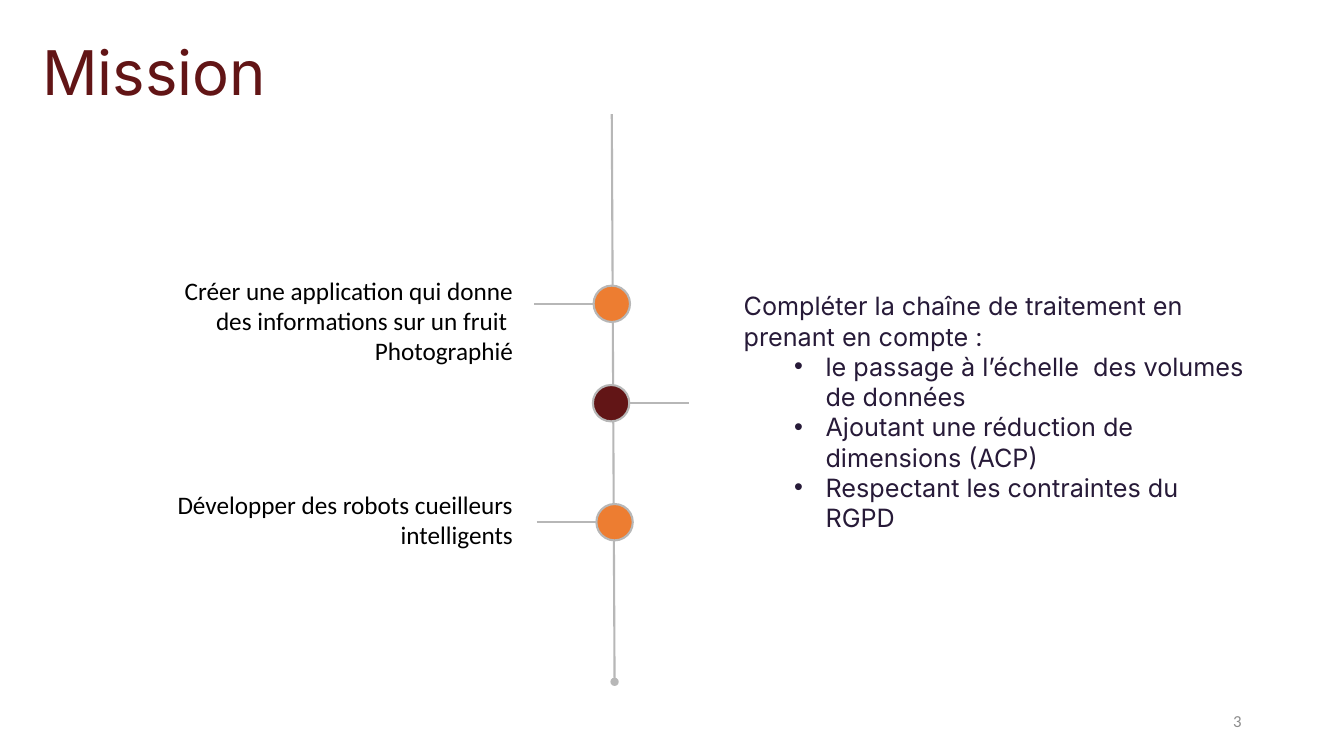
from dataclasses import dataclass

from lxml import etree
from pptx import Presentation
from pptx.dml.color import RGBColor
from pptx.enum.shapes import MSO_CONNECTOR, MSO_SHAPE
from pptx.enum.text import MSO_ANCHOR, MSO_AUTO_SIZE, PP_ALIGN
from pptx.oxml.ns import qn
from pptx.util import Pt

STRAIGHT = MSO_CONNECTOR.STRAIGHT
OVAL = MSO_SHAPE.OVAL
TOP, MIDDLE = MSO_ANCHOR.TOP, MSO_ANCHOR.MIDDLE
LEFT, RIGHT = PP_ALIGN.LEFT, PP_ALIGN.RIGHT
NO_AUTOFIT = MSO_AUTO_SIZE.NONE

BURGUNDY = RGBColor(0x62, 0x15, 0x16)
ORANGE = RGBColor(0xED, 0x7D, 0x31)
GREY = RGBColor(0xB7, 0xB7, 0xB7)
PLUM = RGBColor(0x27, 0x1A, 0x38)
BLACK = RGBColor(0, 0, 0)
PAGE_GREY = RGBColor(0x8C, 0x8C, 0x8C)

DOT_SIZE = 26
ARM_LENGTH = 42.5
LINE_WIDTH = 1.5


@dataclass(frozen=True)
class TextStyle:
    font: str
    size: float
    color: RGBColor
    align: PP_ALIGN = LEFT


@dataclass(frozen=True)
class Milestone:
    left: float
    top: float
    color: RGBColor
    arm_on_left: bool


TITLE = TextStyle("Inter", 44, BURGUNDY)
LIST = TextStyle("Inter", 18, PLUM)
GOAL = TextStyle("Calibri", 18, BLACK, RIGHT)
PAGE_NUMBER = TextStyle("Calibri", 12, PAGE_GREY, RIGHT)

MILESTONES = [
    Milestone(424, 204, ORANGE, True),
    Milestone(423.5, 275, BURGUNDY, False),
    Milestone(426, 360, ORANGE, True),
]
# Each goal with the space before it
GOALS = [
    ("Créer une application qui donne des informations sur un fruit ", 0),
    ("Photographié", 0),
    ("Développer des robots cueilleurs intelligents", 88),
]
LIST_INTRO = "Compléter la chaîne de traitement en prenant en compte :"
LIST_ITEMS = [
    "le passage à l’échelle  des volumes de données",
    "Ajoutant une réduction de dimensions (ACP)",
    "Respectant les contraintes du RGPD",
]


def place(shape, left: float, top: float, width: float, height: float) -> None:
    shape.left, shape.top = Pt(left), Pt(top)
    shape.width, shape.height = Pt(width), Pt(height)


def set_frame(frame, anchor: MSO_ANCHOR) -> None:
    frame.word_wrap = True
    frame.auto_size = NO_AUTOFIT
    frame.vertical_anchor = anchor


def write(paragraph, text: str, style: TextStyle, space_before: float = 0) -> None:
    paragraph.alignment = style.align
    paragraph.space_before = Pt(space_before)
    run = paragraph.add_run()
    run.text = text
    run.font.name = style.font
    run.font.size = Pt(style.size)
    run.font.color.rgb = style.color


def set_bullet(paragraph, bullet: str, margin: float, indent: float) -> None:
    """Set the bullet and hanging indent; an empty bullet turns it off."""
    properties = paragraph._p.get_or_add_pPr()
    properties.set("marL", str(Pt(margin)))
    properties.set("indent", str(Pt(indent)))
    if bullet:
        etree.SubElement(properties, qn("a:buChar")).set("char", bullet)
    else:
        etree.SubElement(properties, qn("a:buNone"))


def add_line(shapes, x1: float, y1: float, x2: float, y2: float):
    line = shapes.add_connector(STRAIGHT, Pt(x1), Pt(y1), Pt(x2), Pt(y2))
    line.line.color.rgb = GREY
    line.line.width = Pt(LINE_WIDTH)
    etree.SubElement(line._element.spPr, qn("a:effectLst"))
    return line


def add_milestone(shapes, milestone: Milestone) -> None:
    """Draw a dot on the timeline and the arm pointing to its text."""
    dot = shapes.add_shape(
        OVAL, Pt(milestone.left), Pt(milestone.top), Pt(DOT_SIZE), Pt(DOT_SIZE)
    )
    dot.shadow.inherit = False
    dot.fill.solid()
    dot.fill.fore_color.rgb = milestone.color
    dot.line.color.rgb = GREY
    dot.line.width = Pt(LINE_WIDTH)

    arm_start = milestone.left - ARM_LENGTH if milestone.arm_on_left else milestone.left + DOT_SIZE
    middle = milestone.top + DOT_SIZE / 2
    add_line(shapes, arm_start, middle, arm_start + ARM_LENGTH, middle)


def add_text_box(shapes, left: float, top: float, width: float, height: float,
                 anchor: MSO_ANCHOR):
    box = shapes.add_textbox(Pt(left), Pt(top), Pt(width), Pt(height))
    set_frame(box.text_frame, anchor)
    return box.text_frame


def main() -> None:
    prs = Presentation()
    prs.slide_width, prs.slide_height = Pt(960), Pt(540)
    slide = prs.slides.add_slide(prs.slide_layouts[1])
    shapes = slide.shapes

    title = shapes.title
    place(title, 23, 26, 828, 55.5)
    set_frame(title.text_frame, MIDDLE)
    heading = title.text_frame.paragraphs[0]
    heading.line_spacing = 0.9
    write(heading, "Mission", TITLE)

    timeline = add_line(shapes, 437, 81.5, 439, 487)
    etree.SubElement(timeline.line._get_or_add_ln(), qn("a:tailEnd")).set("type", "oval")
    for milestone in MILESTONES:
        add_milestone(shapes, milestone)

    goals = add_text_box(shapes, 114.5, 193, 259, 204, TOP)
    for index, (goal, space_before) in enumerate(GOALS):
        paragraph = goals.add_paragraph() if index else goals.paragraphs[0]
        write(paragraph, goal, GOAL, space_before)

    pipeline = slide.placeholders[1]
    place(pipeline, 524, 204, 379.5, 181.5)
    set_frame(pipeline.text_frame, TOP)
    intro = pipeline.text_frame.paragraphs[0]
    set_bullet(intro, "", 0, 0)
    write(intro, LIST_INTRO, LIST)
    for item in LIST_ITEMS:
        paragraph = pipeline.text_frame.add_paragraph()
        paragraph.level = 1
        set_bullet(paragraph, "•", 58.5, -22.5)
        write(paragraph, item, LIST)

    page = add_text_box(shapes, 678, 500.5, 216, 29, MIDDLE)
    write(page.paragraphs[0], "3", PAGE_NUMBER)

    prs.save("out.pptx")


if __name__ == "__main__":
    main()
